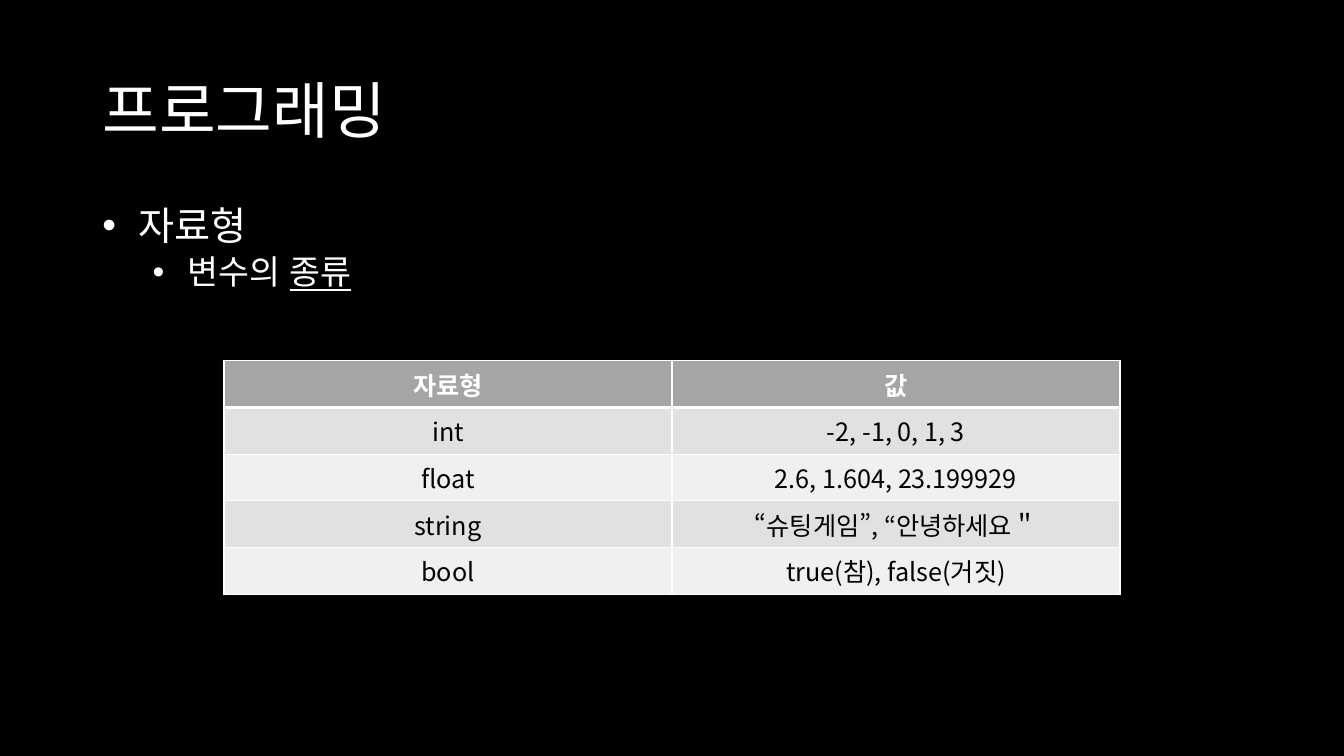
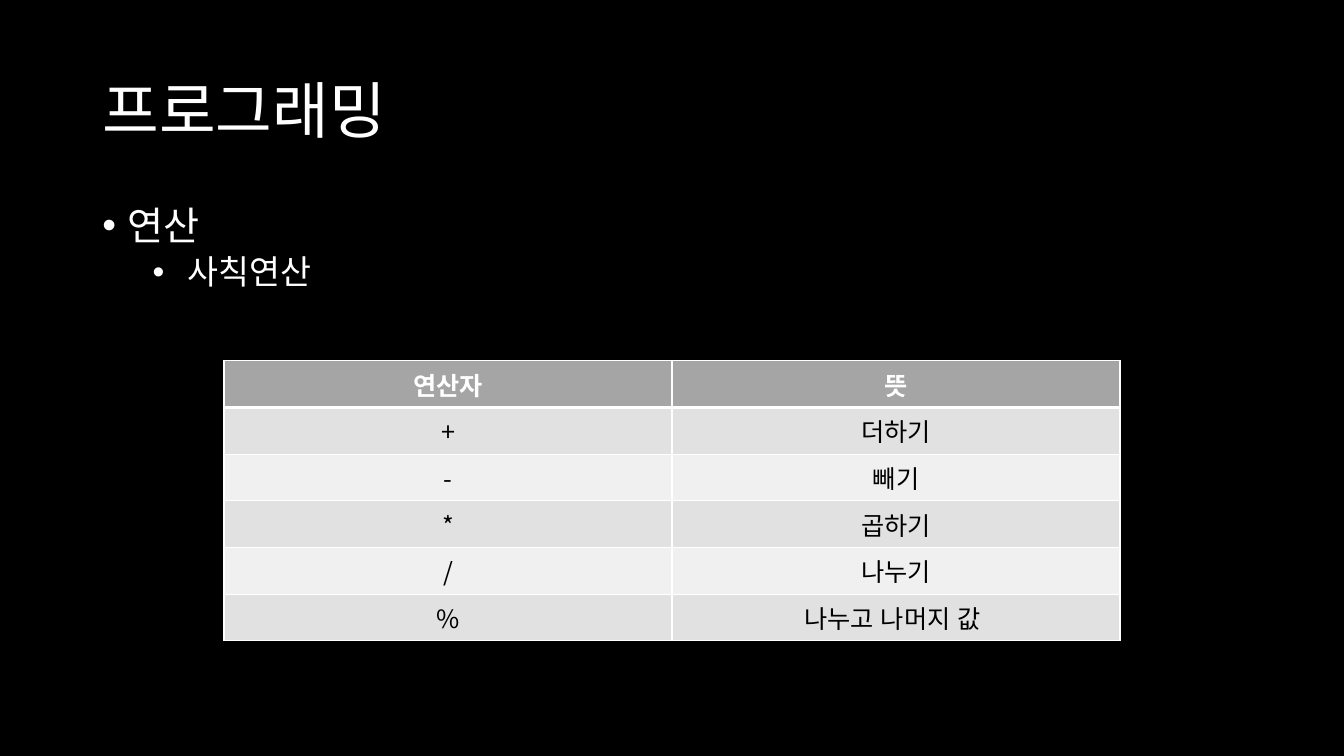
from lxml import etree
from pptx import Presentation
from pptx import util as u
from pptx.dml.color import RGBColor
from pptx.enum import text
from pptx.oxml import ns

FONT = "Noto Sans CJK KR"
BLACK = RGBColor(0, 0, 0)
WHITE = RGBColor(255, 255, 255)
HEAD = RGBColor(0xA5, 0xA5, 0xA5)
BANDS = RGBColor(0xF0, 0xF0, 0xF0), RGBColor(0xE1, 0xE1, 0xE1)

deck = Presentation()
deck.slide_width, deck.slide_height = u.Inches(13.33), u.Inches(7.5)

# Grid: 144 columns by 75 rows
COL = deck.slide_width / 144
ROW = deck.slide_height / 75
LEFT, WIDE = int(9.9 * COL), int(124.2 * COL)

TITLE = "프로그래밍"

# Each bullet is a list of (words, underlined) runs
PAGES = [
    ([[(" 자료형", False)],
      [(" 변수의 ", False), ("종류", True)]],
     [("자료형", "값"),
      ("int", "-2, -1, 0, 1, 3"),
      ("float", "2.6, 1.604, 23.199929"),
      ("string", "“슈팅게임”, “안녕하세요＂"),
      ("bool", "true(참), false(거짓)")]),
    ([[("연산", False)],
      [(" 사칙연산", False)]],
     [("연산자", "뜻"),
      ("+", "더하기"),
      ("-", "빼기"),
      ("*", "곱하기"),
      ("/", "나누기"),
      ("%", "나누고 나머지 값 ")]),
]
# Size, space before and indent of each bullet level
LEVELS = [(28, 10, 0.25), (24, 5, 0.75)]


def style(par, size, color, bold=False):
    """Set the font of a paragraph, for Latin and Korean text alike."""
    font = par.font
    font.name, font.size, font.bold = FONT, u.Pt(size), bold
    font.color.rgb = color
    props = par._p.pPr.find(ns.qn("a:defRPr"))
    props.set("lang", "ko-KR")
    etree.SubElement(props, ns.qn("a:ea"), typeface=FONT)


def add_box(slide, top, high):
    """Add a wrapping text box across the content columns."""
    box = slide.shapes.add_textbox(LEFT, int(top * ROW), WIDE, int(high * ROW))
    box.text_frame.word_wrap = True
    return box.text_frame


for bullets, rows in PAGES:
    slide = deck.slides.add_slide(deck.slide_layouts[6])
    slide.background.fill.solid()
    slide.background.fill.fore_color.rgb = BLACK

    # Title
    frame = add_box(slide, 4, 14.5)
    frame.vertical_anchor = text.MSO_ANCHOR.MIDDLE
    par = frame.paragraphs[0]
    par.text, par.line_spacing = TITLE, 0.9
    style(par, 44, WHITE)

    # Bullets
    frame = add_box(slide, 20, 47.5)
    for level, (runs, (size, gap, indent)) in enumerate(zip(bullets, LEVELS)):
        par = frame.add_paragraph() if level else frame.paragraphs[0]
        par.level, par.line_spacing, par.space_before = level, 0.9, u.Pt(gap)
        props = par._p.get_or_add_pPr()
        props.set("marL", str(u.Inches(indent)))
        props.set("indent", str(-u.Inches(0.25)))
        etree.SubElement(props, ns.qn("a:buFont"), typeface="Arial")
        etree.SubElement(props, ns.qn("a:buChar"), char="•")
        style(par, size, WHITE)
        for words, under in runs:
            run = par.add_run()
            run.text = words
            if under:
                run.font.underline = True

    # Table: the middle two thirds
    table = slide.shapes.add_table(
        len(rows), 2, int(24 * COL), int(35.8 * ROW),
        int(96 * COL), int(4.63 * ROW) * len(rows)).table
    for r, row in enumerate(rows):
        for c, words in enumerate(row):
            cell = table.cell(r, c)
            # White rules, thick under the heading
            props = cell._tc.get_or_add_tcPr()
            for side in "LRTB":
                thick = (r, side) in [(0, "B"), (1, "T")]
                line = etree.SubElement(props, ns.qn("a:ln" + side),
                                        w=str(u.Pt(3 if thick else 1)))
                fill = etree.SubElement(line, ns.qn("a:solidFill"))
                etree.SubElement(fill, ns.qn("a:srgbClr"), val=str(WHITE))
            cell.fill.solid()
            cell.fill.fore_color.rgb = BANDS[r % 2] if r else HEAD
            par = cell.text_frame.paragraphs[0]
            par.text, par.alignment = words, text.PP_ALIGN.CENTER
            style(par, 18, BLACK if r else WHITE, bold=r == 0)

deck.save("out.pptx")
